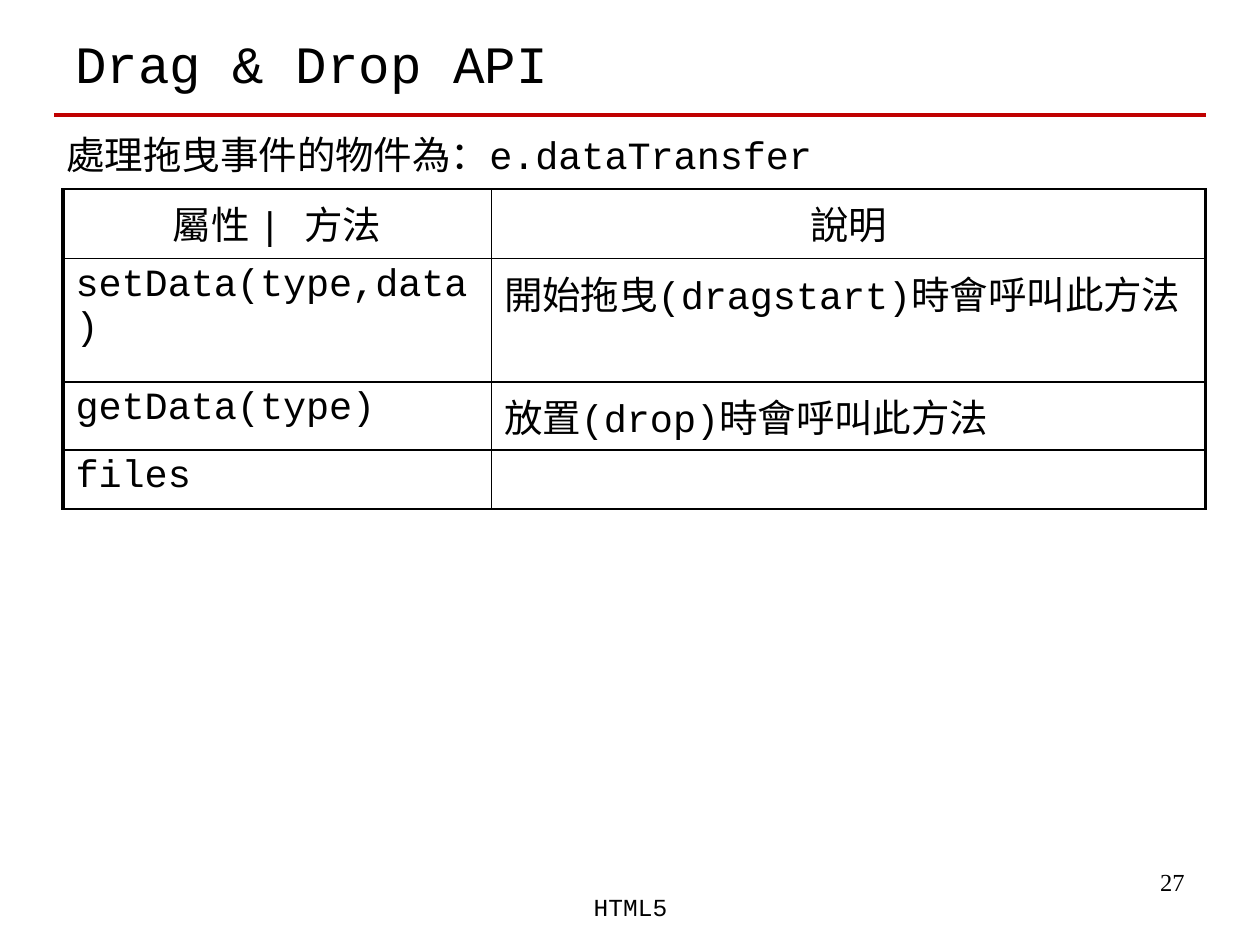
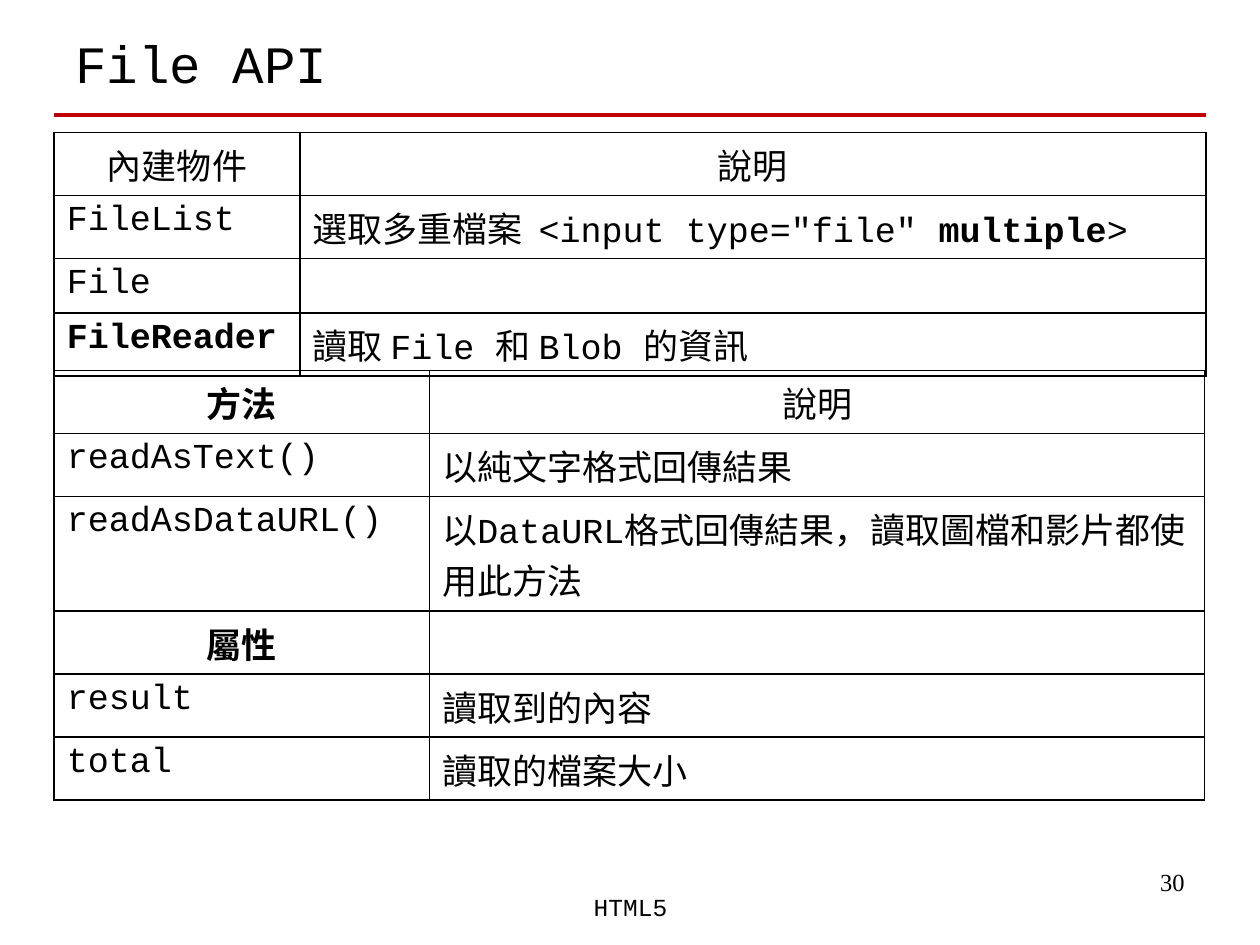
import pptx
import pptx.dml.color
import pptx.enum.shapes
import pptx.enum.text
import pptx.oxml.ns
import pptx.util
from lxml import etree
from pptx.util import Inches

INK = "000000"
RED = "C00000"
CODE_FONT = "Courier New"
NUMBER_FONT = "Times New Roman"
THIN, THICK = 1, 2.25
LEFT, CENTRE, RIGHT = (
    pptx.enum.text.PP_ALIGN.LEFT,
    pptx.enum.text.PP_ALIGN.CENTER,
    pptx.enum.text.PP_ALIGN.RIGHT,
)
TOP, MIDDLE = pptx.enum.text.MSO_ANCHOR.TOP, pptx.enum.text.MSO_ANCHOR.MIDDLE
RULE_LEFT, RULE_RIGHT, RULE_TOP = 0.43, 9.57, 0.91

DRAG_ROWS = [
    ("屬性 | 方法", "說明"),
    ("setData(type,data)", "開始拖曳(dragstart)時會呼叫此方法"),
    ("getData(type)", "放置(drop)時會呼叫此方法"),
    ("files", ""),
]
OBJECT_ROWS = [
    ("內建物件", "說明"),
    ("FileList", '選取多重檔案  <input type="file" **multiple**>'),
    ("File", ""),
    ("**FileReader**", "讀取 File 和 Blob 的資訊"),
]
READER_ROWS = [
    ("**方法**", "說明"),
    ("readAsText()", "以純文字格式回傳結果"),
    ("readAsDataURL()", "以DataURL格式回傳結果，讀取圖檔和影片都使用此方法"),
    ("**屬性**", ""),
    ("result", "讀取到的內容"),
    ("total", "讀取的檔案大小"),
]


def colour(value):
    """Turn a hex string into a colour."""
    return pptx.dml.color.RGBColor.from_string(value)


def write(frame, text, size=20, font=CODE_FONT, align=LEFT, ink=INK):
    """Write one paragraph, with the parts between double stars in bold."""
    para = frame.paragraphs[0]
    para.alignment = align
    for index, part in enumerate(text.split("**")):
        if part:
            span = para.add_run()
            span.text = part
            span.font.name = font
            span.font.size = pptx.util.Pt(size)
            span.font.bold = index % 2 == 1
            span.font.color.rgb = colour(ink)


def add_text(page, box, text, anchor=TOP, **style):
    """Add a wrapped text box at box (left, top, width, height)."""
    frame = page.shapes.add_textbox(*map(Inches, box)).text_frame
    frame.word_wrap = True
    frame.vertical_anchor = anchor
    write(frame, text, **style)


def add_rule(page):
    """Draw the red rule below the title."""
    rule = page.shapes.add_connector(
        pptx.enum.shapes.MSO_CONNECTOR.STRAIGHT,
        *map(Inches, (RULE_LEFT, RULE_TOP, RULE_RIGHT, RULE_TOP)),
    )
    rule.line.color.rgb = colour(RED)
    rule.line.width = pptx.util.Pt(THICK)
    etree.SubElement(rule.element.spPr, pptx.oxml.ns.qn("a:effectLst"))


def add_page(deck, title, number):
    """Add a page with its title, rule, footer and number."""
    page = deck.slides.add_slide(deck.slide_layouts[6])
    add_text(page, (7.17, 6.83, 2.33, 0.52), number, size=14, font=NUMBER_FONT, align=RIGHT)
    add_text(page, (0.5, 0.12, 9, 0.76), title, anchor=MIDDLE, size=30)
    add_rule(page)
    add_text(page, (3.42, 7.03, 3.17, 0.5), "HTML5", size=14, align=CENTRE)
    return page


def set_borders(cell, widths):
    """Give a cell solid borders from a mapping of side to points."""
    properties = cell._tc.get_or_add_tcPr()
    for side in "LRTB":
        line = etree.SubElement(properties, pptx.oxml.ns.qn(f"a:ln{side}"))
        line.set("w", str(pptx.util.Pt(widths.get(side, THIN))))
        fill = etree.SubElement(line, pptx.oxml.ns.qn("a:solidFill"))
        etree.SubElement(fill, pptx.oxml.ns.qn("a:srgbClr")).set("val", INK)


def add_grid(page, left, top, columns, heights, rows, size=20, headings=(0,), side_width=THIN):
    """Add a two-column table with centred heading rows and outer sides of a given width."""
    box = (left, top, sum(columns), sum(heights))
    table = page.shapes.add_table(len(rows), len(columns), *map(Inches, box)).table
    table.first_row = table.horz_banding = False
    for column, width in zip(table.columns, columns):
        column.width = Inches(width)
    for index, (row, height, texts) in enumerate(zip(table.rows, heights, rows)):
        row.height = Inches(height)
        align = CENTRE if index in headings else LEFT
        for cell, text, side in zip(row.cells, texts, "LR"):
            set_borders(cell, {side: side_width})
            cell.fill.background()
            write(cell.text_frame, text, size=size, align=align)


def build_drag_page(deck):
    """Build the page on the drag and drop interface."""
    page = add_page(deck, "Drag & Drop API", "27")
    add_grid(page, 0.5, 1.5, (3.4, 5.67), (0.55, 0.98, 0.54, 0.47), DRAG_ROWS,
             size=22, side_width=THICK)
    add_text(page, (RULE_LEFT, 0.99, RULE_RIGHT - RULE_LEFT, 0.84),
             "處理拖曳事件的物件為：e.dataTransfer", size=22)


def build_file_page(deck):
    """Build the page on the file interface."""
    page = add_page(deck, "File API", "30")
    line = 0.5
    add_grid(page, RULE_LEFT, 2.94, (2.98, 6.15), (line, line, 0.91, line, line, line),
             READER_ROWS, headings=(0, 3))
    add_grid(page, RULE_LEFT, 1.05, (1.95, 7.19), (line, line, 0.43, line), OBJECT_ROWS)


def main():
    """Build and save the deck."""
    deck = pptx.Presentation()
    deck.slide_width, deck.slide_height = Inches(10), Inches(7.5)
    build_drag_page(deck)
    build_file_page(deck)
    deck.save("out.pptx")


if __name__ == "__main__":
    main()
